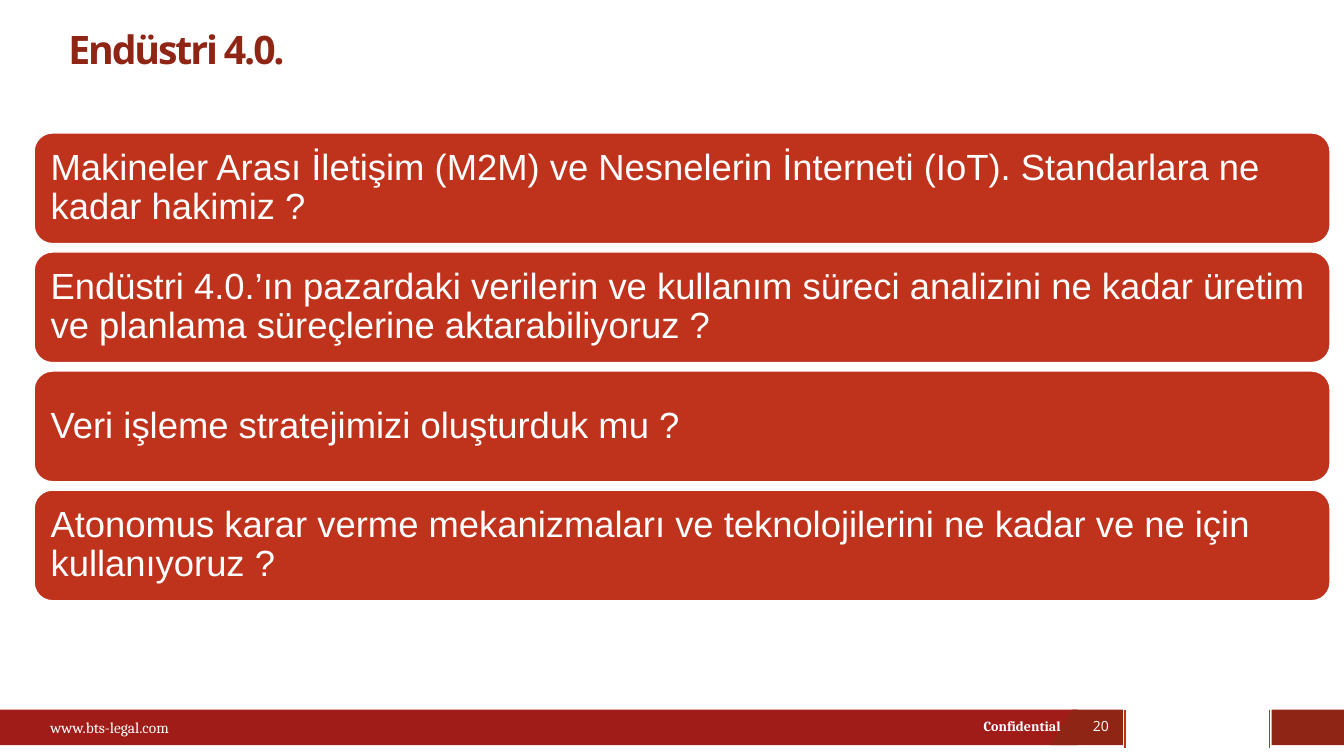
from dataclasses import dataclass

import pptx
import pptx.dml.color
import pptx.enum.shapes
import pptx.enum.text
import pptx.oxml
import pptx.oxml.ns
import pptx.util

Cm = pptx.util.Cm
Pt = pptx.util.Pt
SHAPE = pptx.enum.shapes.MSO_SHAPE
ALIGN = pptx.enum.text.PP_ALIGN

COLORS = {
    "bar": "A01C18",
    "dark": "8F2515",
    "title": "8F2615",
    "card": "BF321C",
    "white": "FFFFFF",
}
FOOTER_TOP, FOOTER_HEIGHT, RULE_BOTTOM = 17.88, 0.9, 18.85
CARD_TOP, CARD_PITCH = 3.35, 3.0


@dataclass
class Box:
    left: float
    top: float
    width: float
    height: float


@dataclass
class Label:
    text: str
    box: Box
    font: str
    size: float
    bold: bool = False
    align: ALIGN = ALIGN.LEFT


QUESTIONS = [
    "Makineler Arası İletişim (M2M) ve Nesnelerin İnterneti (IoT). "
    "Standarlara ne kadar hakimiz ?",
    "Endüstri 4.0.’ın pazardaki verilerin ve kullanım süreci analizini "
    "ne kadar üretim ve planlama süreçlerine aktarabiliyoruz ?",
    "Veri işleme stratejimizi oluşturduk mu ?",
    "Atonomus karar verme mekanizmaları ve teknolojilerini ne kadar "
    "ve ne için kullanıyoruz ?",
]
FOOTER_BLOCKS = [
    (Box(0, FOOTER_TOP, 27.15, FOOTER_HEIGHT), "bar"),
    (Box(32.05, FOOTER_TOP, 1.82, FOOTER_HEIGHT), "dark"),
]
FOOTER_RULES = [28.35, 32.0]
FOOTER_LABELS = [
    Label("www.bts-legal.com", Box(1.02, 17.91, 6.55, 0.86), "Cambria", 11),
    Label("Confidential", Box(24.54, 17.96, 2.79, 0.69), "Cambria", 10, bold=True),
    Label("20", Box(27.15, 17.78, 1.19, 1.02), "Open Sans", 10, align=ALIGN.CENTER),
]


def rgb(name: str) -> pptx.dml.color.RGBColor:
    return pptx.dml.color.RGBColor.from_string(COLORS[name])


def lengths(box: Box) -> tuple:
    return Cm(box.left), Cm(box.top), Cm(box.width), Cm(box.height)


def paint(sp, color: str) -> None:
    sp.shadow.inherit = False
    sp.fill.solid()
    sp.fill.fore_color.rgb = rgb(color)
    sp.line.fill.background()


def write(sp, text: str, font: str, size: float, color: str = "white",
          bold: bool = False, align: ALIGN = ALIGN.LEFT):
    tf = sp.text_frame
    tf.word_wrap = True
    tf.vertical_anchor = pptx.enum.text.MSO_ANCHOR.MIDDLE
    p = tf.paragraphs[0]
    p.text = text
    p.alignment = align
    p.font.name, p.font.size, p.font.bold = font, Pt(size), bold
    p.font.color.rgb = rgb(color)
    return p


def add_block(slide, box: Box, color: str, preset: SHAPE = SHAPE.RECTANGLE):
    sp = slide.shapes.add_shape(preset, *lengths(box))
    paint(sp, color)
    return sp


def add_rule(slide, x: float) -> None:
    line = slide.shapes.add_connector(
        pptx.enum.shapes.MSO_CONNECTOR.STRAIGHT,
        Cm(x), Cm(FOOTER_TOP), Cm(x), Cm(RULE_BOTTOM))
    line.line.color.rgb = rgb("card")
    line.line.width = Pt(1)
    sp_pr = line._element.spPr
    sp_pr.append(pptx.oxml.parse_xml(
        f"<a:effectLst {pptx.oxml.ns.nsdecls('a')}/>"))


def add_label(slide, label: Label) -> None:
    sp = slide.shapes.add_textbox(*lengths(label.box))
    write(sp, label.text, label.font, label.size,
          bold=label.bold, align=label.align)


def add_card(slide, index: int, question: str) -> None:
    box = Box(0.86, CARD_TOP + index * CARD_PITCH, 32.66, 2.79)
    sp = add_block(slide, box, "card", SHAPE.ROUNDED_RECTANGLE)
    sp.line.color.rgb = rgb("white")
    sp.line.width = Pt(1)
    tf = sp.text_frame
    tf.margin_left = tf.margin_right = Cm(0.28)
    tf.margin_top = tf.margin_bottom = Cm(0.28)
    write(sp, question, "Arial", 26).line_spacing = 0.9


def main() -> None:
    prs = pptx.Presentation()
    prs.slide_width, prs.slide_height = Cm(33.87), Cm(19.05)
    slide = prs.slides.add_slide(prs.slide_layouts[5])

    # Title
    title = slide.shapes.title
    title.left, title.top, title.width, title.height = lengths(
        Box(1.47, 0.56, 29.21, 1.5))
    p = write(title, "Endüstri 4.0.", "Open Sans", 28, "title", bold=True)
    p.line_spacing = 0.9
    p.runs[0]._r.get_or_add_rPr().set("spc", "-150")

    # Footer
    for box, color in FOOTER_BLOCKS:
        add_block(slide, box, color)
    for x in FOOTER_RULES:
        add_rule(slide, x)
    bottom = FOOTER_TOP + FOOTER_HEIGHT
    outline = slide.shapes.build_freeform(Cm(27.03), Cm(FOOTER_TOP))
    outline.add_line_segments([
        (Cm(28.3), Cm(FOOTER_TOP)), (Cm(28.3), Cm(bottom)), (Cm(26.47), Cm(bottom))])
    paint(outline.convert_to_shape(), "dark")
    for label in FOOTER_LABELS:
        add_label(slide, label)

    # Question cards
    for index, question in enumerate(QUESTIONS):
        add_card(slide, index, question)

    prs.save("out.pptx")


if __name__ == "__main__":
    main()
